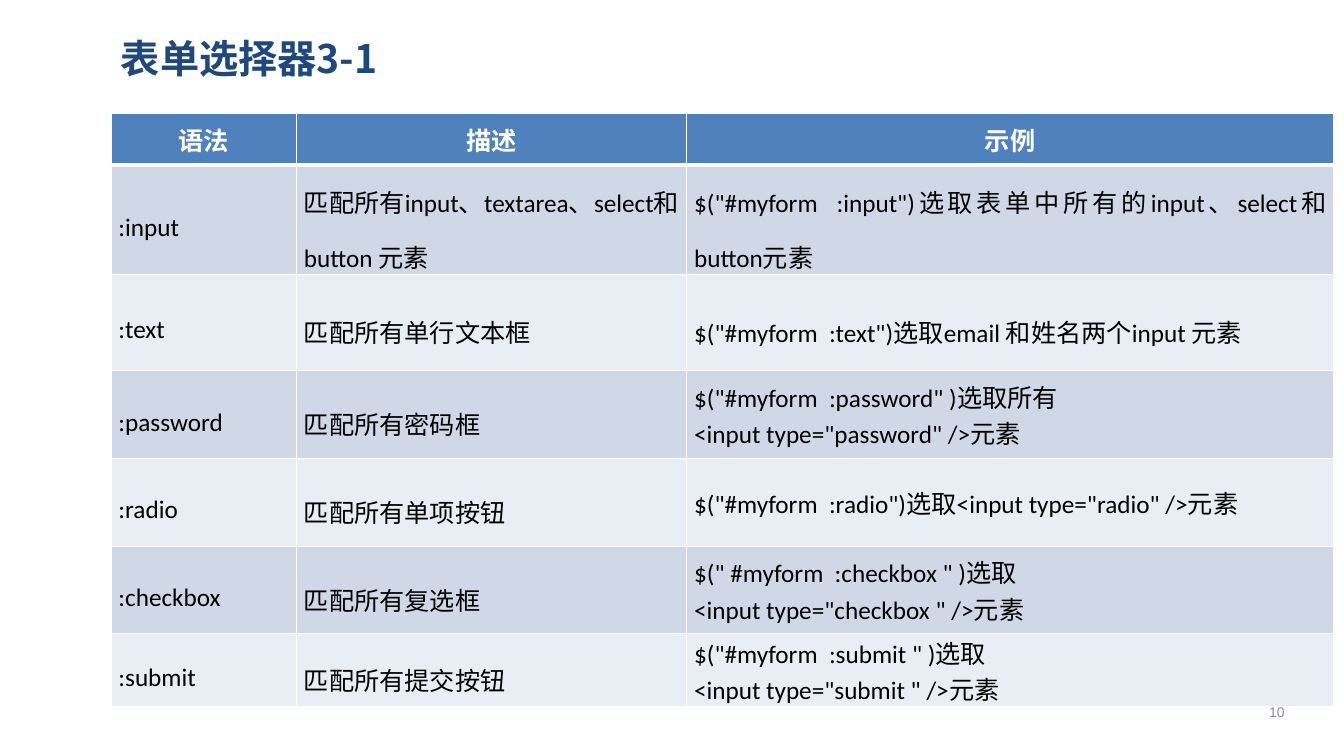
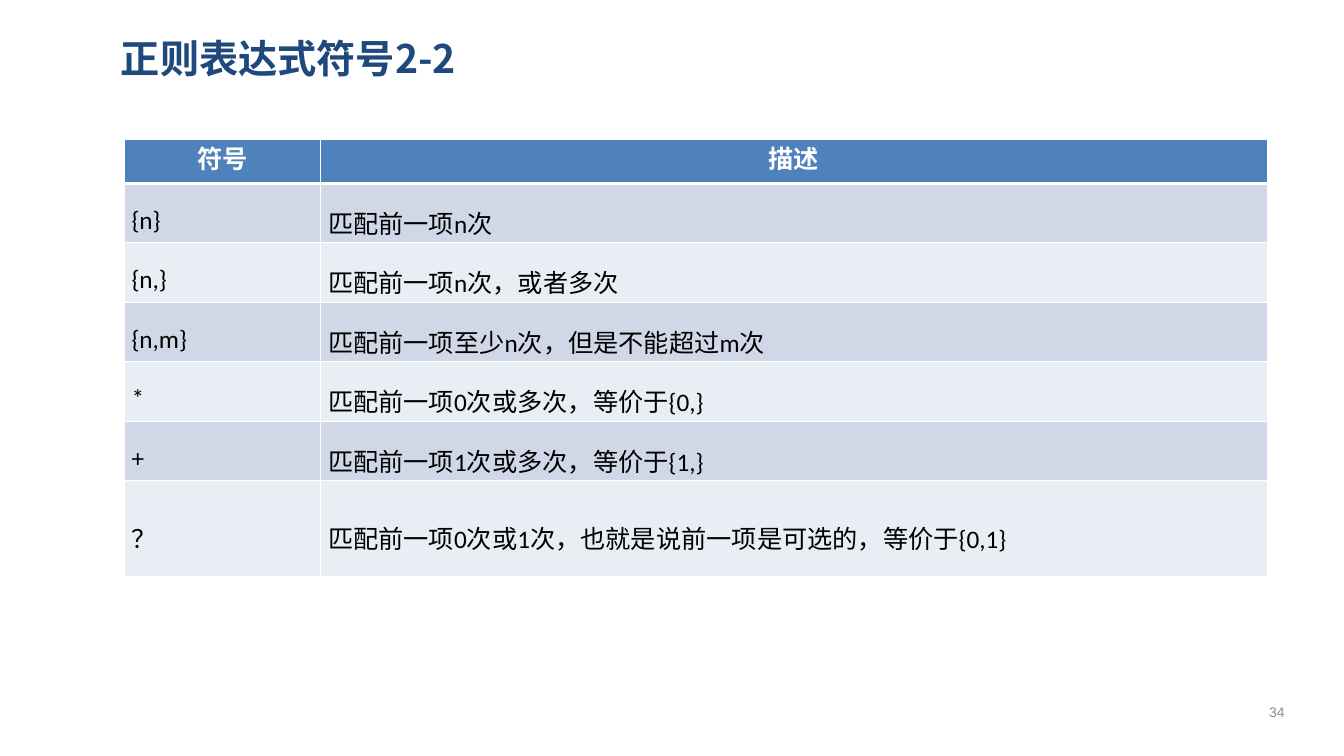
from lxml import etree
from pptx import Presentation
from pptx.dml.color import RGBColor
from pptx.enum.text import MSO_ANCHOR, PP_ALIGN
from pptx.oxml.ns import qn
from pptx.util import Inches, Pt

LEFT, CENTER, JUSTIFY = PP_ALIGN.LEFT, PP_ALIGN.CENTER, PP_ALIGN.JUSTIFY
TOP, MIDDLE = MSO_ANCHOR.TOP, MSO_ANCHOR.MIDDLE
TITLE_ONLY = 5

COLORS = {
    "title": "1F497D",
    "header": "4F81BD",
    "band_dark": "D0D8E8",
    "band_light": "E9EDF4",
    "white": "FFFFFF",
    "black": "000000",
    "number": "8C8C8C",
}
CJK_FONT, BODY_FONT, NUMBER_FONT = "Noto Sans CJK SC", "Calibri", "Arial"
CELL_MARGIN = Pt(5.4)

FORM_SELECTORS = [
    ["语法", "描述", "示例"],
    [":input", "匹配所有input、textarea、select和button 元素",
     '$("#myform  :input")选取表单中所有的input、select和button元素'],
    [":text", "匹配所有单行文本框",
     '$("#myform  :text")选取email 和姓名两个input 元素'],
    [":password", "匹配所有密码框",
     ['$("#myform  :password" )选取所有', '<input type="password" />元素']],
    [":radio", "匹配所有单项按钮",
     ['$("#myform  :radio")选取<input type="radio" />元素']],
    [":checkbox", "匹配所有复选框",
     ['$(" #myform  :checkbox " )选取', '<input type="checkbox " />元素']],
    [":submit", "匹配所有提交按钮",
     ['$("#myform  :submit " )选取', '<input type="submit " />元素']],
]

REGEX_SYMBOLS = [
    ["符号", "描述"],
    ["{n}", "匹配前一项n次"],
    ["{n,}", "匹配前一项n次，或者多次"],
    ["{n,m}", "匹配前一项至少n次，但是不能超过m次"],
    ["*", "匹配前一项0次或多次，等价于{0,}"],
    ["+", "匹配前一项1次或多次，等价于{1,}"],
    ["？", "匹配前一项0次或1次，也就是说前一项是可选的，等价于{0,1}"],
]


class Deck:
    def __init__(self):
        self.presentation = Presentation()
        self.presentation.slide_width = Inches(13.33)
        self.presentation.slide_height = Inches(7.5)
        self.slide = None

    def add_slide(self, title, number):
        layout = self.presentation.slide_layouts[TITLE_ONLY]
        self.slide = self.presentation.slides.add_slide(layout)
        self.add_title(title)
        self.add_number(number)

    def add_run(self, paragraph, text, size, color, font=BODY_FONT, bold=False):
        run = paragraph.add_run()
        run.text = text
        run.font.size = Pt(size)
        run.font.bold = bold
        run.font.name = font
        run.font.color.rgb = RGBColor.from_string(COLORS[color])
        east_asian = etree.SubElement(run.font._element, qn("a:ea"))
        east_asian.set("typeface", CJK_FONT)

    def add_title(self, text):
        title = self.slide.shapes.title
        title.left, title.top = Inches(1.1), Inches(0.24)
        title.width, title.height = Inches(11.65), Inches(0.67)
        title.text_frame.vertical_anchor = MIDDLE
        paragraph = title.text_frame.paragraphs[0]
        paragraph.alignment = LEFT
        self.add_run(paragraph, text, 28, "title", CJK_FONT, True)

    def add_number(self, number):
        box = self.slide.shapes.add_textbox(
            Inches(12.34), Inches(6.86), Inches(0.65), Inches(0.4))
        box.text_frame.word_wrap = True
        box.text_frame.vertical_anchor = MIDDLE
        paragraph = box.text_frame.paragraphs[0]
        paragraph.alignment = CENTER
        self.add_run(paragraph, str(number), 10, "number", NUMBER_FONT)

    def add_table(self, rows, left, top, widths, heights, header_anchor):
        frame = self.slide.shapes.add_table(
            len(rows), len(widths), Inches(left), Inches(top),
            Inches(sum(widths)), Inches(sum(heights)))
        table = frame.table
        for column, width in zip(table.columns, widths):
            column.width = Inches(width)
        for row, height in zip(table.rows, heights):
            row.height = Inches(height)
        for row_index, contents in enumerate(rows):
            for column_index, content in enumerate(contents):
                cell = table.cell(row_index, column_index)
                self.fill_cell(cell, content, row_index, header_anchor)

    def fill_cell(self, cell, content, row_index, header_anchor):
        """A string is justified with wide lines; a list holds plain left-aligned lines."""
        is_header = row_index == 0
        band = "band_dark" if row_index % 2 else "band_light"
        cell.margin_left = cell.margin_right = CELL_MARGIN
        cell.margin_top = cell.margin_bottom = 0
        cell.vertical_anchor = header_anchor if is_header else MIDDLE
        cell.fill.solid()
        cell.fill.fore_color.rgb = RGBColor.from_string(
            COLORS["header" if is_header else band])
        self.set_borders(cell, row_index)

        is_code = isinstance(content, list)
        for index, line in enumerate(content if is_code else [content]):
            frame = cell.text_frame
            paragraph = frame.add_paragraph() if index else frame.paragraphs[0]
            if is_header:
                paragraph.alignment = CENTER
            elif is_code:
                paragraph.alignment = LEFT
            else:
                paragraph.alignment = JUSTIFY
                paragraph.line_spacing = 1.5
            self.add_run(paragraph, line, 18,
                         "white" if is_header else "black", bold=is_header)

    def set_borders(self, cell, row_index):
        """Draw white cell edges, thicker between the header and the body."""
        properties = cell._tc.get_or_add_tcPr()
        widths = {"lnL": 1, "lnR": 1,
                  "lnT": 3 if row_index == 1 else 1,
                  "lnB": 3 if row_index == 0 else 1}
        for position, (side, width) in enumerate(widths.items()):
            line = etree.Element(qn(f"a:{side}"), w=str(Pt(width)))
            fill = etree.SubElement(line, qn("a:solidFill"))
            etree.SubElement(fill, qn("a:srgbClr"), val=COLORS["white"])
            properties.insert(position, line)


def main():
    deck = Deck()
    deck.add_slide("表单选择器3-1", 10)
    deck.add_table(FORM_SELECTORS, 1.1, 1.13, [1.84, 3.87, 6.42],
                   [0.51, 1.08, 0.96] + [0.87] * 3 + [0.72], MIDDLE)
    deck.add_slide("正则表达式符号2-2", 34)
    deck.add_table(REGEX_SYMBOLS, 1.23, 1.38, [1.95, 9.39],
                   [0.44] + [0.59] * 5 + [0.95], TOP)
    deck.presentation.save("out.pptx")


if __name__ == "__main__":
    main()
